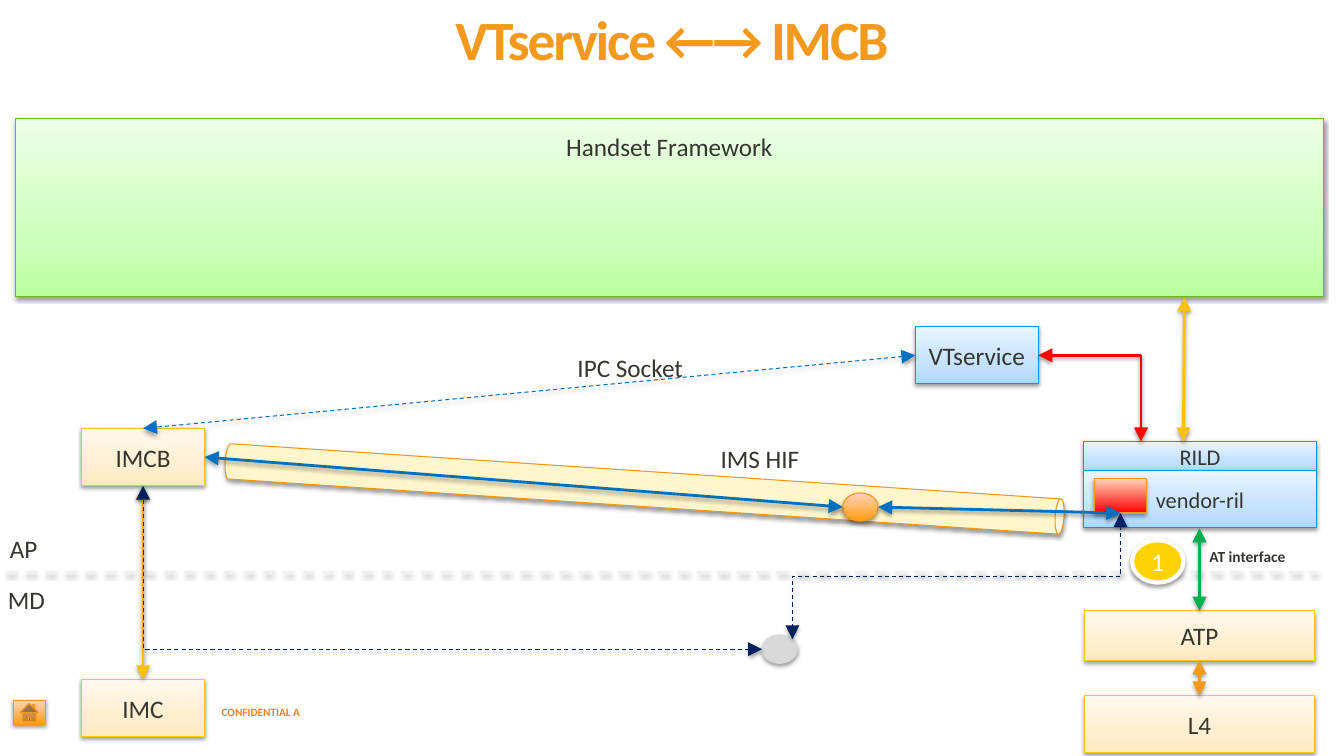
import pptx
import pptx.util
import pptx.dml.color
import pptx.enum.dml
import pptx.enum.shapes
import pptx.enum.text
import pptx.oxml.ns
from lxml import etree

Pt = pptx.util.Pt
qn = pptx.oxml.ns.qn
KIND = pptx.enum.shapes.MSO_SHAPE
WIRE = pptx.enum.shapes.MSO_CONNECTOR
ALIGN = pptx.enum.text.PP_ALIGN
ANCHOR = pptx.enum.text.MSO_ANCHOR
DASH = pptx.enum.dml.MSO_LINE.DASH

INK, ORANGE, RIM, GOLD = "353630", "F39A1E", "F39718", "FFC000"
RED, AZURE, NAVY = "FF0000", "0070C0", "002060"
GREEN = ([(0, "B9FFA0"), (35, "CDFFBC"), (100, "ECFFE6")], "66BD23")
BLUE = ([(0, "ADD7FF"), (35, "C5E2FF"), (100, "E9F4FF")], "009DD9")
CREAM = ([(0, "FFEABC"), (35, "FFEFD0"), (100, "FFF9ED")], "F8CC00")
AMBER = ([(0, "FF9C12"), (100, "FFD3B7")], RIM)
FLAME = ([(0, RED), (100, "FFD3B7")], RIM)


def hue(code):
    """Turn a hex string into a colour."""
    return pptx.dml.color.RGBColor.from_string(code)


def node(top, tag, **attrs):
    """Add a drawing element below another one."""
    return etree.SubElement(top, qn("a:" + tag), {k: str(v) for k, v in attrs.items()})


def shade(item, dark=38, drop=1.6):
    """Give a shape or line its soft shadow."""
    list_ = node(item._element.spPr, "effectLst")
    cast = node(list_, "outerShdw", blurRad=Pt(3.1), dist=Pt(drop), dir=5400000, rotWithShape=0)
    node(node(cast, "srgbClr", val="000000"), "alpha", val=dark * 1000)


def blend(shape, stops):
    """Fill a shape with a gradient that rises from its foot."""
    shape.fill.solid()
    old = shape._element.spPr.find(qn("a:solidFill"))
    grad = etree.Element(qn("a:gradFill"), rotWithShape="1")
    steps = node(grad, "gsLst")
    for pos, code in stops:
        node(node(steps, "gs", pos=pos * 1000), "srgbClr", val=hue(code))
    node(grad, "lin", ang=16200000, scaled=0)
    old.getparent().replace(old, grad)


def write(shape, text, size=18, code=INK, bold=False, align=ALIGN.CENTER, anchor=ANCHOR.MIDDLE):
    """Put one line of text in a shape and return its run."""
    frame = shape.text_frame
    frame.word_wrap = True
    frame.vertical_anchor = anchor
    par = frame.paragraphs[0]
    par.alignment = align
    run = par.add_run()
    run.text = text
    run.font.name = "Calibri"
    run.font.size = Pt(size)
    run.font.bold = bold
    run.font.color.rgb = hue(code)
    return run


def block(slide, box, look, text="", size=18, kind=KIND.RECTANGLE, width=0.75, turn=0):
    """Draw a filled shape with a rim, a shadow and a label."""
    fill, rim = look
    shape = slide.shapes.add_shape(kind, *map(Pt, box))
    shape.rotation = turn
    if isinstance(fill, str):
        shape.fill.solid()
        shape.fill.fore_color.rgb = hue(fill)
    else:
        blend(shape, fill)
    shape.line.color.rgb = hue(rim)
    shape.line.width = Pt(width)
    shade(shape)
    if text:
        write(shape, text, size, "FFFFFF" if kind == KIND.OVAL else INK)
    return shape


def label(slide, box, text, size=18, code=INK, bold=False, anchor=ANCHOR.TOP):
    """Place a plain text box, aligned left."""
    shape = slide.shapes.add_textbox(*map(Pt, box))
    write(shape, text, size, code, bold, ALIGN.LEFT, anchor)


def port(shape, side):
    """Find the point in the middle of a side, in points."""
    right, down = {"top": (0.5, 0), "left": (0, 0.5), "right": (1, 0.5), "foot": (0.5, 1)}[side]
    return (shape.left + shape.width * right) / 12700, (shape.top + shape.height * down) / 12700


def link(slide, start, end, code, width=2, dash=False, ends=("headEnd", "tailEnd"), bend=None, turn=0):
    """Draw a line or an elbow with arrowheads."""
    wire = slide.shapes.add_connector(
        WIRE.ELBOW if bend else WIRE.STRAIGHT, *map(Pt, start + end))
    wire.line.color.rgb = hue(code)
    wire.line.width = Pt(width)
    if dash:
        wire.line.dash_style = DASH
    props = wire._element.spPr
    for tag in ends:
        node(props.find(qn("a:ln")), tag, type="triangle", w="lg", len="lg")
    if bend:
        props.find(qn("a:prstGeom")).set("prst", bend)
        props.find(qn("a:xfrm")).set("rot", str(turn * 60000))
    shade(wire)


def header(slide, box):
    """Write the slide title."""
    shape = slide.shapes.add_textbox(*map(Pt, box))
    shape.text_frame.margin_top = 0
    run = write(shape, "VTservice ←→ IMCB", 39.6, ORANGE, True)
    run.font._element.set("spc", "-150")
    shape.text_frame.paragraphs[0].line_spacing = 0.8


def footer(slide, box):
    """Place the home button and the notice."""
    x, y, w, h = box
    block(slide, (x, y + 6.5, 23, 17.3), AMBER, kind=KIND.ACTION_BUTTON_HOME)
    label(slide, (x + 141.8, y, w - 141.8, h), "CONFIDENTIAL A", 8, "F3821E", True, ANCHOR.MIDDLE)


def roof(slide, box):
    """Draw the framework band with its name at the top."""
    shape = block(slide, box, GREEN, "Handset Framework")
    shape.text_frame.vertical_anchor = ANCHOR.TOP
    shape.text_frame.margin_top = Pt(8.6)


def upper(slide, box):
    """Draw the parts of the AP side and return the linked ones."""
    x, y, w, h = box
    block(slide, (x + 447.8, y - 184.3, 25.2, 600.5), ("FFF6CC", RIM), kind=KIND.CAN, turn=93.8)
    vt = block(slide, (x + 653.8, y, 87.8, 41), BLUE, "VTservice")
    rild = block(slide, (x + 774, y + 82.1, 166.3, 20.9), BLUE, "RILD", 16)
    block(slide, (x + 774, y + 102.9, 166.3, 41), BLUE, "vendor-ril", 16)
    imcb = block(slide, (x + 58.3, y + 72.7, 87.8, 41), CREAM, "IMCB")
    chip = block(slide, (x + 782, y + 108.7, 36.7, 24.5), FLAME)
    ball = block(slide, (x + 602, y + 118.8, 25.2, 20.2), AMBER, kind=KIND.OVAL)
    label(slide, (x, y + h - 31.7, 56, 28.8), "AP")
    link(slide, (x + 5, y + h), (x + w - 20.4, y + h), "F0F0F0", dash=True, ends=())
    return vt, rild, imcb, chip, ball


def lower(slide, box):
    """Draw the parts of the MD side and return the linked ones."""
    x, y, w, h = box
    label(slide, (x - 1.4, y + 5, 56, 28.8), "MD")
    imc = block(slide, (x + 58.3, y + 76.3, 87.8, 41), CREAM, "IMC")
    atp = block(slide, (x + 774.7, y + 27.3, 164.2, 35.3), CREAM, "ATP")
    base = block(slide, (x + 774.7, y + 87.8, 164.2, 41), CREAM, "L4")
    node_ = block(slide, (x + 544.3, y + 44.6, 25.2, 20.2), ("D9D9D9", "D9D9D9"), kind=KIND.OVAL)
    block(slide, (x + 808.6, y - 23.1, 36.7, 30.2), ("FED100", "FFFFFF"), "1", kind=KIND.OVAL, width=3)
    label(slide, (x + 856.8, y - 21.6, 81.4, 20.9), "AT interface", 11, bold=True)
    return imc, atp, base, node_


def wires(slide, box, high, low):
    """Join the parts and name the two channels."""
    x, y, w, h = box
    vt, rild, imcb, chip, ball = high
    imc, atp, base, dot = low
    link(slide, port(imc, "top"), port(imcb, "foot"), GOLD)
    link(slide, port(atp, "top"), (x + 856.8, y + 144), "00B050")
    link(slide, (x + 846, y - 20.9), (x + 845.3, y + 82.1), GOLD)
    link(slide, port(base, "top"), port(atp, "foot"), ORANGE)
    edge = port(vt, "right")
    turn = (x + 815, edge[1])
    for end in ((turn[0], port(rild, "top")[1]), edge):
        link(slide, turn, end, RED, ends=("tailEnd",))
    link(slide, port(chip, "foot"), port(ball, "right"), AZURE)
    link(slide, port(imcb, "right"), port(ball, "left"), AZURE)

    right, top = port(chip, "foot")
    left, foot = x + 566, port(dot, "top")[1] + 3
    mid, rise = (left + right) / 2, (top + foot) / 2
    half, tall = (foot - top) / 2, (right - left) / 2
    link(slide, (mid - half, rise - tall), (mid + half, rise + tall), NAVY, 0.75, True,
         bend="bentConnector3", turn=90)
    link(slide, port(imcb, "foot"), port(dot, "left"), NAVY, 0.75, True,
         bend="bentConnector2", turn=180)
    link(slide, port(vt, "left"), port(imcb, "top"), AZURE, 0.75, True)
    label(slide, (x + 507.6, y + 79.9, 123, 28.8), "IMS HIF")
    label(slide, (x + 405.4, y + 15.1, 123, 28.8), "IPC Socket")


def main():
    """Build the slide and save it."""
    deck = pptx.Presentation()
    deck.slide_width, deck.slide_height = Pt(960), Pt(540)
    slide = deck.slides.add_slide(deck.slide_layouts[6])
    footer(slide, (9.4, 493.9, 311, 28.8))
    header(slide, (48, 15, 864, 36.7))
    roof(slide, (10.8, 85, 934.6, 126.7))
    high = upper(slide, (0, 233.3, 960, 175.7))
    low = lower(slide, (0, 409, 960, 131))
    wires(slide, (0, 233.3, 960, 306.7), high, low)
    deck.save("out.pptx")


if __name__ == "__main__":
    main()
